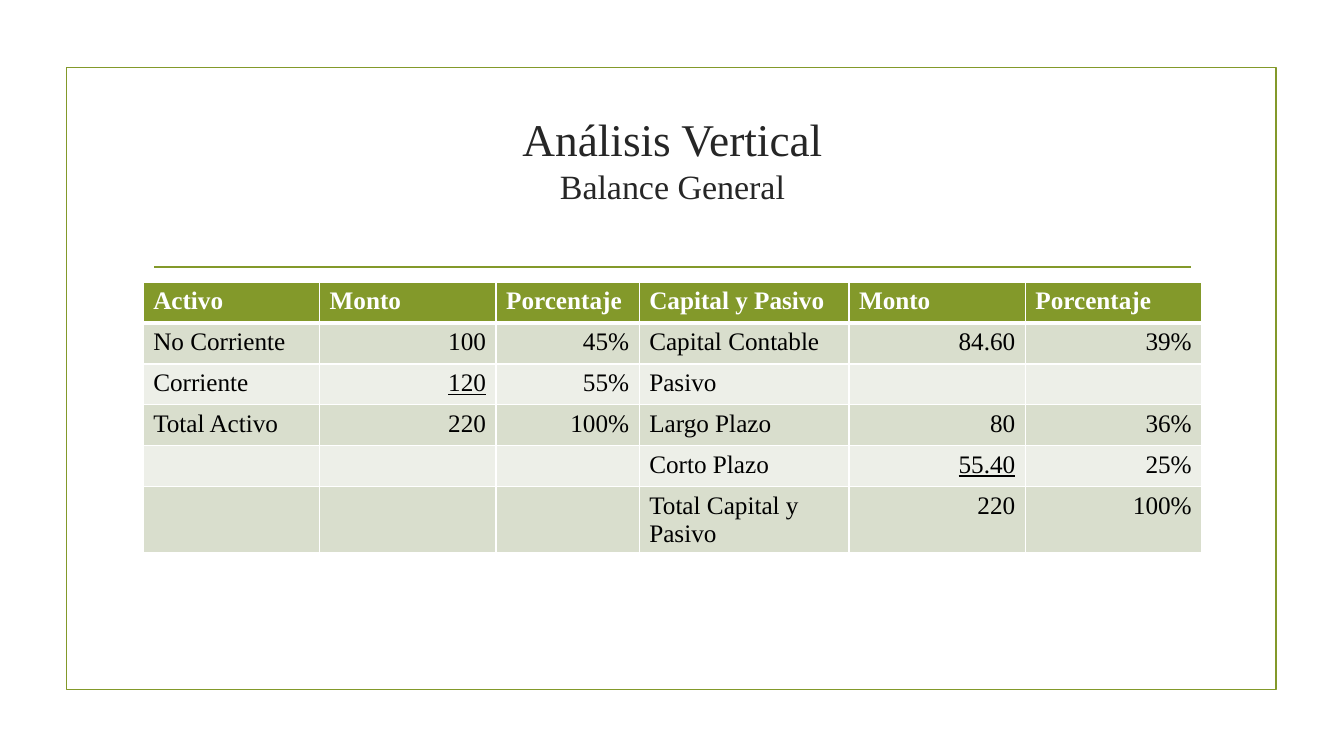
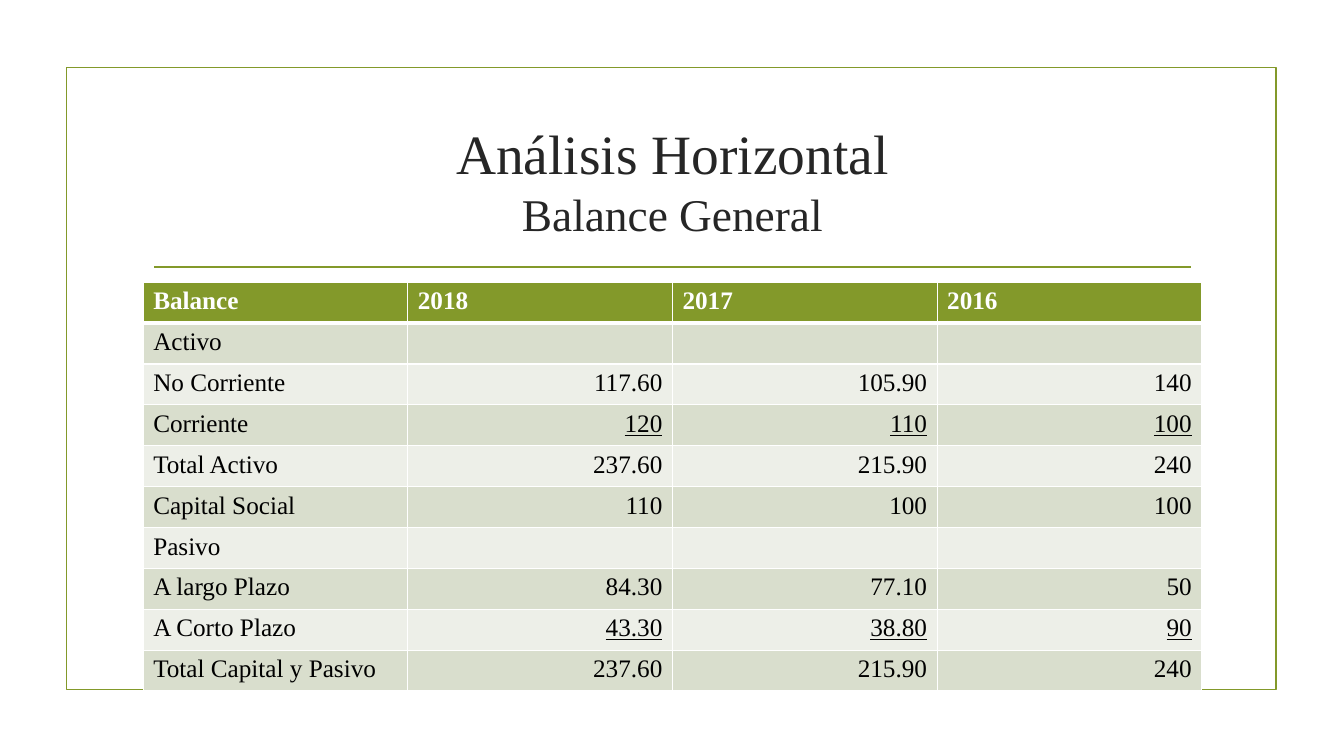
import lxml.etree
import pptx
import pptx.dml.color
import pptx.enum.shapes
import pptx.enum.text
import pptx.oxml.ns
import pptx.util

Inches = pptx.util.Inches
Pt = pptx.util.Pt
Align = pptx.enum.text.PP_ALIGN
Anchor = pptx.enum.text.MSO_ANCHOR

FONT = "Times New Roman"
GREEN, WHITE, BLACK, TITLE_GRAY = "83992A", "FFFFFF", "000000", "262626"
BANDS = ("D9DECD", "EDEFE8")
FRAME_BOX = (0.66, 0.67, 12, 6.17)
CONTENT_LEFT, CONTENT_WIDTH = 1.42, 10.5
TITLE_TOP, TABLE_TOP = 1.07, 2.8
RULE_INSET, RULE_DROP = 0.87, 1.98
ROW_HEIGHT = Pt(29.2)

VERTICAL_ROWS = [
    ("Activo", "Monto", "Porcentaje", "Capital y Pasivo", "Monto", "Porcentaje"),
    ("No Corriente", "100", "45%", "Capital Contable", "84.60", "39%"),
    ("Corriente", "120", "55%", "Pasivo", "", ""),
    ("Total Activo", "220", "100%", "Largo Plazo", "80", "36%"),
    ("", "", "", "Corto Plazo", "55.40", "25%"),
    ("", "", "", "Total Capital y Pasivo", "220", "100%"),
]
VERTICAL_WIDTHS = (1.75, 1.75, 1.42, 2.08, 1.75, 1.75)
VERTICAL_UNDERLINED = {(2, 1), (4, 4)}

HORIZONTAL_ROWS = [
    ("Balance", "2018", "2017", "2016"),
    ("Activo", "", "", ""),
    ("No Corriente", "117.60", "105.90", "140"),
    ("Corriente", "120", "110", "100"),
    ("Total Activo", "237.60", "215.90", "240"),
    ("Capital Social", "110", "100", "100"),
    ("Pasivo", "", "", ""),
    ("A largo Plazo", "84.30", "77.10", "50"),
    ("A Corto Plazo", "43.30", "38.80", "90"),
    ("Total Capital y Pasivo", "237.60", "215.90", "240"),
]
HORIZONTAL_WIDTHS = (CONTENT_WIDTH / 4,) * 4
HORIZONTAL_UNDERLINED = {(row, column) for row in (3, 8) for column in (1, 2, 3)}


def color(value):
    """Return the colour for a hex string."""
    return pptx.dml.color.RGBColor.from_string(value)


def write_text(paragraph, text, size=18, fill=BLACK, bold=False, underline=False, align=Align.LEFT):
    """Add a formatted run to a paragraph."""
    paragraph.alignment = align
    run = paragraph.add_run()
    run.text = text
    run.font.name = FONT
    run.font.size = Pt(size)
    run.font.bold = bold
    run.font.underline = underline
    run.font.color.rgb = color(fill)


def style_line(line):
    """Give an outline the shared green stroke."""
    line.color.rgb = color(GREEN)
    line.width = Pt(1.25)


def add_frame(slide, left, top, width, height):
    """Draw the border and the rule under the title."""
    frame = slide.shapes.add_shape(
        pptx.enum.shapes.MSO_SHAPE.RECTANGLE,
        Inches(left), Inches(top), Inches(width), Inches(height))
    frame.shadow.inherit = False
    frame.fill.background()
    style_line(frame.line)
    rule_top = Inches(top + RULE_DROP)
    rule = slide.shapes.add_connector(
        pptx.enum.shapes.MSO_CONNECTOR.STRAIGHT,
        Inches(left + RULE_INSET), rule_top, Inches(left + width - RULE_INSET + 0.02), rule_top)
    style_line(rule.line)
    lxml.etree.SubElement(rule._element.spPr, pptx.oxml.ns.qn("a:effectLst"))


def format_title(slide, lines, left, top, width, height, anchor):
    """Place the title and write its lines, given as text and size."""
    title = slide.shapes.title
    title.left, title.top = Inches(left), Inches(top)
    title.width, title.height = Inches(width), Inches(height)
    frame = title.text_frame
    frame.word_wrap = True
    frame.auto_size = pptx.enum.text.MSO_AUTO_SIZE.NONE
    frame.vertical_anchor = anchor
    frame.margin_top = frame.margin_bottom = Inches(0.03)
    paragraph = frame.paragraphs[0]
    for index, (text, size) in enumerate(lines):
        if index:
            paragraph.add_line_break()
        write_text(paragraph, text, size=size, fill=TITLE_GRAY, align=Align.CENTER)


def set_borders(cell, bottom, top):
    """Draw white borders on the four sides of a cell."""
    properties = cell._tc.get_or_add_tcPr()
    for side, width in (("L", 1), ("R", 1), ("T", top), ("B", bottom)):
        border = lxml.etree.SubElement(
            properties, pptx.oxml.ns.qn(f"a:ln{side}"), w=str(Pt(width)))
        fill = lxml.etree.SubElement(border, pptx.oxml.ns.qn("a:solidFill"))
        lxml.etree.SubElement(fill, pptx.oxml.ns.qn("a:srgbClr"), val=WHITE)


def add_balance_table(slide, rows, widths, underlined, left, top):
    """Add a banded table with a green header row."""
    table = slide.shapes.add_table(
        len(rows), len(widths), Inches(left), Inches(top),
        Inches(sum(widths)), ROW_HEIGHT * len(rows)).table
    for column, width in zip(table.columns, widths):
        column.width = Inches(width)
    for row_index, row in enumerate(rows):
        table.rows[row_index].height = ROW_HEIGHT
        header = row_index == 0
        for column_index, text in enumerate(row):
            cell = table.cell(row_index, column_index)
            set_borders(cell, bottom=3 if header else 1, top=3 if row_index == 1 else 1)
            cell.fill.solid()
            cell.fill.fore_color.rgb = color(GREEN if header else BANDS[(row_index - 1) % 2])
            if text:
                numeric = not header and text[0].isdigit()
                write_text(
                    cell.text_frame.paragraphs[0], text,
                    fill=WHITE if header else BLACK, bold=header,
                    underline=(row_index, column_index) in underlined,
                    align=Align.RIGHT if numeric else Align.LEFT)


def add_analysis_slide(presentation, title_lines, title_height, anchor, rows, widths, underlined):
    """Add one framed slide with a title and a balance table."""
    slide = presentation.slides.add_slide(presentation.slide_layouts[5])
    add_frame(slide, *FRAME_BOX)
    format_title(slide, title_lines, CONTENT_LEFT, TITLE_TOP, CONTENT_WIDTH, title_height, anchor)
    add_balance_table(slide, rows, widths, underlined, CONTENT_LEFT, TABLE_TOP)


def main():
    """Build and save the presentation."""
    presentation = pptx.Presentation()
    presentation.slide_width, presentation.slide_height = Inches(13.33), Inches(7.5)
    add_analysis_slide(
        presentation, [("Análisis Vertical", 32.4), ("Balance General", 24.3)], 1.36, Anchor.TOP,
        VERTICAL_ROWS, VERTICAL_WIDTHS, VERTICAL_UNDERLINED)
    add_analysis_slide(
        presentation, [("Análisis Horizontal", 39.6), ("Balance General", 32.4)], 1.43, Anchor.MIDDLE,
        HORIZONTAL_ROWS, HORIZONTAL_WIDTHS, HORIZONTAL_UNDERLINED)
    presentation.save("out.pptx")


if __name__ == "__main__":
    main()
